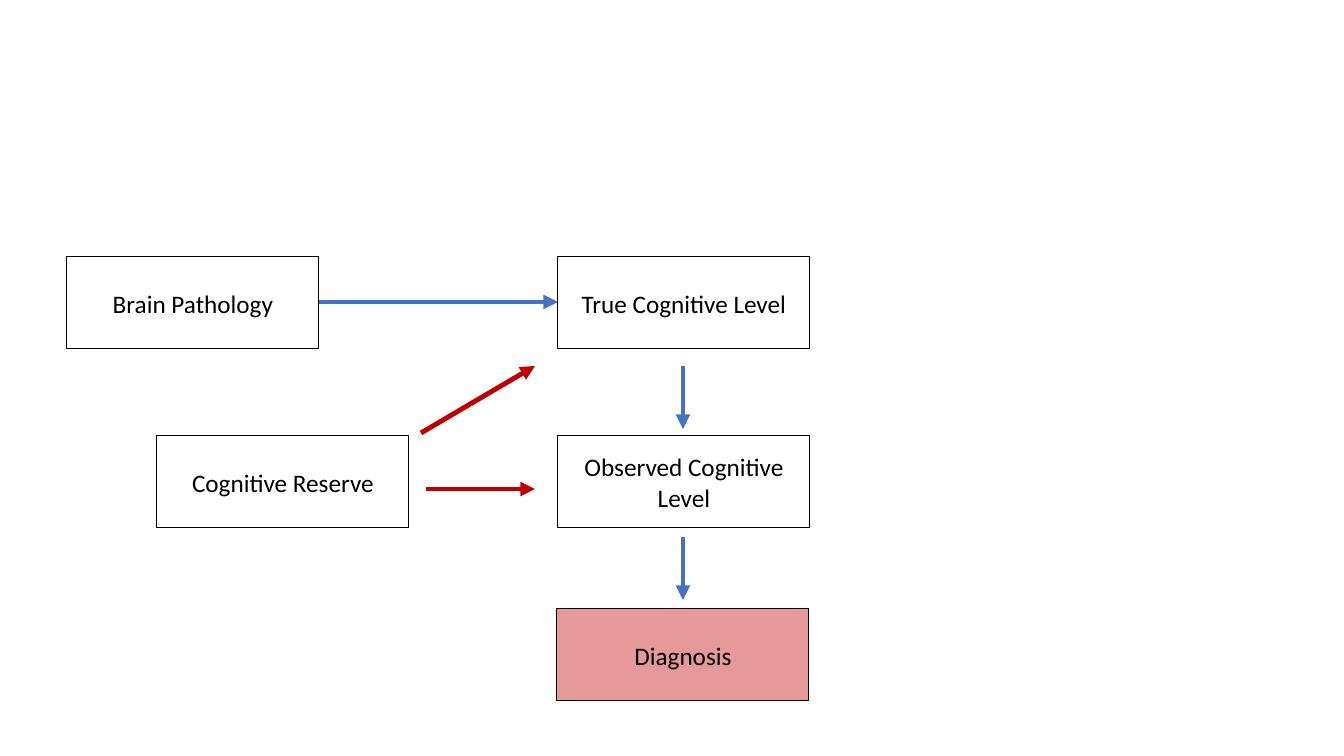
"""Builds a path diagram leading from brain pathology to diagnosis."""
from dataclasses import dataclass
from typing import Optional

import lxml.etree
import pptx
import pptx.dml.color
import pptx.enum.shapes
import pptx.enum.text
import pptx.oxml.ns
import pptx.slide
import pptx.util

PIXELS_PER_INCH = 100.8
BLACK = pptx.dml.color.RGBColor(0x00, 0x00, 0x00)
BLUE = pptx.dml.color.RGBColor(0x44, 0x72, 0xC4)
RED = pptx.dml.color.RGBColor(0xC0, 0x00, 0x00)

FONT = "Calibri"
BOX_WIDTH, BOX_HEIGHT = 252, 92
OUTCOME_LEFT = 558
TOP_ROW, MIDDLE_ROW, BOTTOM_ROW = 257, 436, 609
TOP_ARROW_Y = 302
DOWN_ARROW_X, DOWN_ARROW_LENGTH = 683, 63


@dataclass(frozen=True)
class Box:
    """A labelled box; opacity is a percentage of the fill."""
    label: str
    left: int
    top: int
    fill: Optional[pptx.dml.color.RGBColor] = None
    opacity: int = 100


@dataclass(frozen=True)
class Arrow:
    """A straight arrow between two points."""
    start_x: int
    start_y: int
    end_x: int
    end_y: int
    color: pptx.dml.color.RGBColor


BOXES = (
    Box("Brain Pathology", 67, TOP_ROW),
    Box("True Cognitive Level", OUTCOME_LEFT, TOP_ROW),
    Box("Observed Cognitive Level", OUTCOME_LEFT, MIDDLE_ROW),
    Box("Diagnosis", OUTCOME_LEFT - 1, BOTTOM_ROW, RED, 40),
    Box("Cognitive Reserve", 157, MIDDLE_ROW),
)
DOWN_ARROWS = tuple(
    Arrow(DOWN_ARROW_X, top, DOWN_ARROW_X, top + DOWN_ARROW_LENGTH, BLUE)
    for top in (366, 537)
)
ARROWS = (
    Arrow(67 + BOX_WIDTH, TOP_ARROW_Y, OUTCOME_LEFT, TOP_ARROW_Y, BLUE),
    *DOWN_ARROWS,
    Arrow(421, 433, 535, 366, RED),
    Arrow(426, 489, 535, 489, RED),
)


def px(pixels: int) -> pptx.util.Emu:
    """Turn whole pixels into EMU."""
    return pptx.util.Emu(round(pixels * 914400 / PIXELS_PER_INCH))


def add_child(parent: lxml.etree.ElementBase, tag: str, **attributes: str) -> None:
    """Append a DrawingML element to a parent."""
    child = lxml.etree.SubElement(parent, pptx.oxml.ns.qn(tag))
    for name, value in attributes.items():
        child.set(name, value)


def draw_box(page: pptx.slide.Slide, box: Box) -> None:
    """Draw one box with its centred label."""
    shape = page.shapes.add_shape(
        pptx.enum.shapes.MSO_SHAPE.RECTANGLE,
        px(box.left), px(box.top), px(BOX_WIDTH), px(BOX_HEIGHT))
    shape.shadow.inherit = False
    shape.line.color.rgb = BLACK
    shape.line.width = pptx.util.Pt(0.75)
    if box.fill is None:
        shape.fill.background()
    else:
        shape.fill.solid()
        shape.fill.fore_color.rgb = box.fill
        color = shape.fill._xPr.find(".//" + pptx.oxml.ns.qn("a:srgbClr"))
        add_child(color, "a:alpha", val=str(box.opacity * 1000))

    frame = shape.text_frame
    frame.word_wrap = True
    frame.vertical_anchor = pptx.enum.text.MSO_ANCHOR.MIDDLE
    para = frame.paragraphs[0]
    para.alignment = pptx.enum.text.PP_ALIGN.CENTER
    span = para.add_run()
    span.text = box.label
    span.font.name = FONT
    span.font.size = pptx.util.Pt(18)
    span.font.color.rgb = BLACK


def draw_arrow(page: pptx.slide.Slide, arrow: Arrow) -> None:
    """Draw one arrow with a triangular head at its end."""
    connector = page.shapes.add_connector(
        pptx.enum.shapes.MSO_CONNECTOR.STRAIGHT,
        px(arrow.start_x), px(arrow.start_y), px(arrow.end_x), px(arrow.end_y))
    connector.line.color.rgb = arrow.color
    connector.line.width = pptx.util.Pt(3.5)
    add_child(connector.line._get_or_add_ln(), "a:tailEnd", type="triangle")
    add_child(connector._element.spPr, "a:effectLst")


def main() -> None:
    """Build and save the deck."""
    deck = pptx.Presentation()
    deck.slide_width, deck.slide_height = px(1344), px(756)
    page = deck.slides.add_slide(deck.slide_layouts[6])
    for box in BOXES:
        draw_box(page, box)
    for arrow in ARROWS:
        draw_arrow(page, arrow)
    deck.save("out.pptx")


main()
